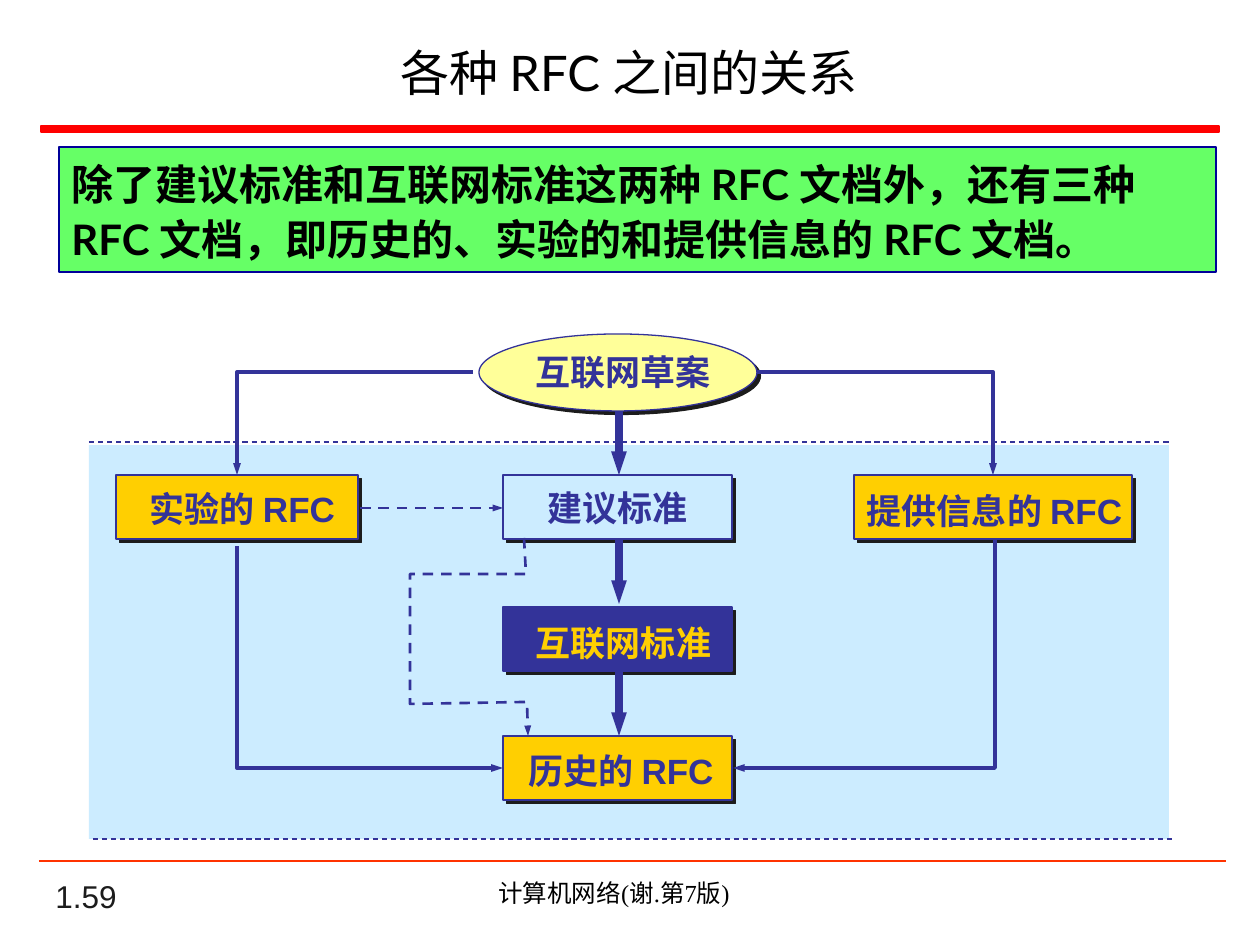
from pptx import Presentation
from pptx.util import Emu, Pt
from pptx.dml.color import RGBColor
from pptx.enum.dml import MSO_LINE
from pptx.enum.shapes import MSO_SHAPE, MSO_CONNECTOR
from pptx.enum.text import MSO_ANCHOR, PP_ALIGN
from pptx.oxml import parse_xml
from pptx.oxml.ns import nsdecls, qn
from lxml import etree

PX = 914400 / 126
NAVY = RGBColor(0x33, 0x33, 0x99)
DEEP = RGBColor(0x00, 0x00, 0x99)
GOLD = RGBColor(0xFF, 0xCF, 0x01)
SKY = RGBColor(0xCC, 0xEC, 0xFF)
CREAM = RGBColor(0xFF, 0xFF, 0x99)
GREEN = RGBColor(0x66, 0xFF, 0x66)
RED = RGBColor(0xFF, 0x00, 0x00)
ORANGE = RGBColor(0xFF, 0x33, 0x00)
INK = RGBColor(0x1C, 0x1C, 0x1C)
BLACK = RGBColor(0x00, 0x00, 0x00)
SHADOW = (
    f'<a:effectLst {nsdecls("a")}><a:outerShdw dist="35921" dir="2700000" '
    'algn="ctr" rotWithShape="0"><a:srgbClr val="1C1C1C"/></a:outerShdw></a:effectLst>'
)

prs = Presentation()
prs.slide_width = Emu(round(1260 * PX))
prs.slide_height = Emu(round(945 * PX))
slide = prs.slides.add_slide(prs.slide_layouts[6])
shapes = slide.shapes


def write(shape, text, size, font, color, bold=False, align=PP_ALIGN.CENTER,
          anchor=MSO_ANCHOR.TOP, wrap=True):
    frame = shape.text_frame
    frame.text = text
    frame.word_wrap = wrap
    frame.vertical_anchor = anchor
    para = frame.paragraphs[0]
    para.alignment = align
    para.font.size = Pt(size)
    para.font.name = font
    para.font.bold = bold
    para.font.color.rgb = color
    return para


def draw(points, color, width, dash=False, arrow=False):
    spots = [(round(x * PX), round(y * PX)) for x, y in points]
    if len(spots) == 2:
        line = shapes.add_connector(MSO_CONNECTOR.STRAIGHT, *spots[0], *spots[1])
        etree.SubElement(line.element.spPr, qn("a:effectLst"))
    else:
        pen = shapes.build_freeform(*spots[0])
        pen.add_line_segments(spots[1:], close=False)
        line = pen.convert_to_shape()
        line.fill.background()
        line.shadow.inherit = False
    line.line.color.rgb = color
    line.line.width = Pt(width)
    if dash:
        line.line.dash_style = MSO_LINE.DASH
    if arrow:
        edge = line.element.spPr.find(qn("a:ln"))
        etree.SubElement(edge, qn("a:tailEnd"), type="triangle", w="sm", len="med")


RECT = MSO_SHAPE.RECTANGLE
blocks = [
    (RECT, (41, 126, 1178, 6), RED, RED, 1, False),
    (RECT, (59, 147, 1157, 125), GREEN, DEEP, 0.75, False),
    (RECT, (89, 445, 1080, 394), SKY, None, 0, False),
    (RECT, (503, 475, 229, 64), SKY, NAVY, 0.75, True),
    (RECT, (503, 607, 229, 64), NAVY, NAVY, 0.75, True),
    (RECT, (503, 736, 229, 64), GOLD, NAVY, 0.75, True),
    (RECT, (854, 475, 278, 64), GOLD, NAVY, 0.75, True),
    (RECT, (116, 475, 242, 64), GOLD, NAVY, 0.75, True),
    (MSO_SHAPE.OVAL, (479, 334, 278, 77), CREAM, NAVY, 0.75, True),
]
made = []
for kind, place, fill, edge, width, cast in blocks:
    block = shapes.add_shape(kind, *[round(n * PX) for n in place])
    block.fill.solid()
    block.fill.fore_color.rgb = fill
    if edge is None:
        block.line.fill.background()
    else:
        block.line.color.rgb = edge
        block.line.width = Pt(width)
    if cast:
        block.element.spPr.append(parse_xml(SHADOW))
    else:
        block.shadow.inherit = False
    made.append(block)

note = write(
    made[1],
    "除了建议标准和互联网标准这两种 RFC 文档外，还有三种 RFC 文档，即历史的、实验的和提供信息的 RFC 文档。",
    24, "Lato", BLACK, True, PP_ALIGN.LEFT)
note.line_spacing = 1.1

for top, end in [(411, 475), (539, 604), (672, 736)]:
    draw([(619, top), (619, end)], NAVY, 4.5, arrow=True)

routes = [
    [(757, 372), (993, 372), (993, 475)],
    [(473, 372), (237, 372), (237, 475)],
    [(237, 546), (237, 768), (503, 768)],
    [(995, 539), (995, 768), (733, 768)],
]
for route in routes:
    draw(route, NAVY, 2.25, arrow=True)

draw([(360, 508), (503, 508)], NAVY, 1.5, dash=True, arrow=True)
draw([(524, 538), (526, 574), (410, 574), (410, 704), (527, 702), (528, 736)],
     NAVY, 1.5, dash=True, arrow=True)
draw([(89, 442), (1169, 442)], NAVY, 0.75, dash=True)
draw([(93, 839), (1173, 839)], NAVY, 0.75, dash=True)
draw([(39, 861), (1226, 861)], ORANGE, 1.5)

labels = [
    ("互联网草案", 514, 344, 218, NAVY),
    ("建议标准", 529, 480, 178, NAVY),
    ("互联网标准", 514, 615, 219, GOLD),
    ("历史的 RFC", 509, 743, 224, NAVY),
    ("实验的 RFC", 129, 481, 227, NAVY),
    ("提供信息的 RFC", 827, 483, 335, NAVY),
]
for text, left, top, width, color in labels:
    label = shapes.add_textbox(*[round(n * PX) for n in (left, top, width, 55)])
    write(label, text, 20, "Arial", color, True, wrap=False)

texts = [
    ("各种 RFC 之间的关系", (49, 28, 1160, 87), 28, "Lato", BLACK,
     PP_ALIGN.CENTER, MSO_ANCHOR.MIDDLE),
    ("1.59", (43, 879, 262, 42), 18, "Arial", INK, PP_ALIGN.LEFT, MSO_ANCHOR.BOTTOM),
    ("计算机网络(谢.第7版)", (357, 872, 514, 43), 14, "Times New Roman", BLACK,
     PP_ALIGN.CENTER, MSO_ANCHOR.TOP),
]
for text, place, size, font, color, align, anchor in texts:
    item = shapes.add_textbox(*[round(n * PX) for n in place])
    write(item, text, size, font, color, align=align, anchor=anchor)

prs.save("out.pptx")
